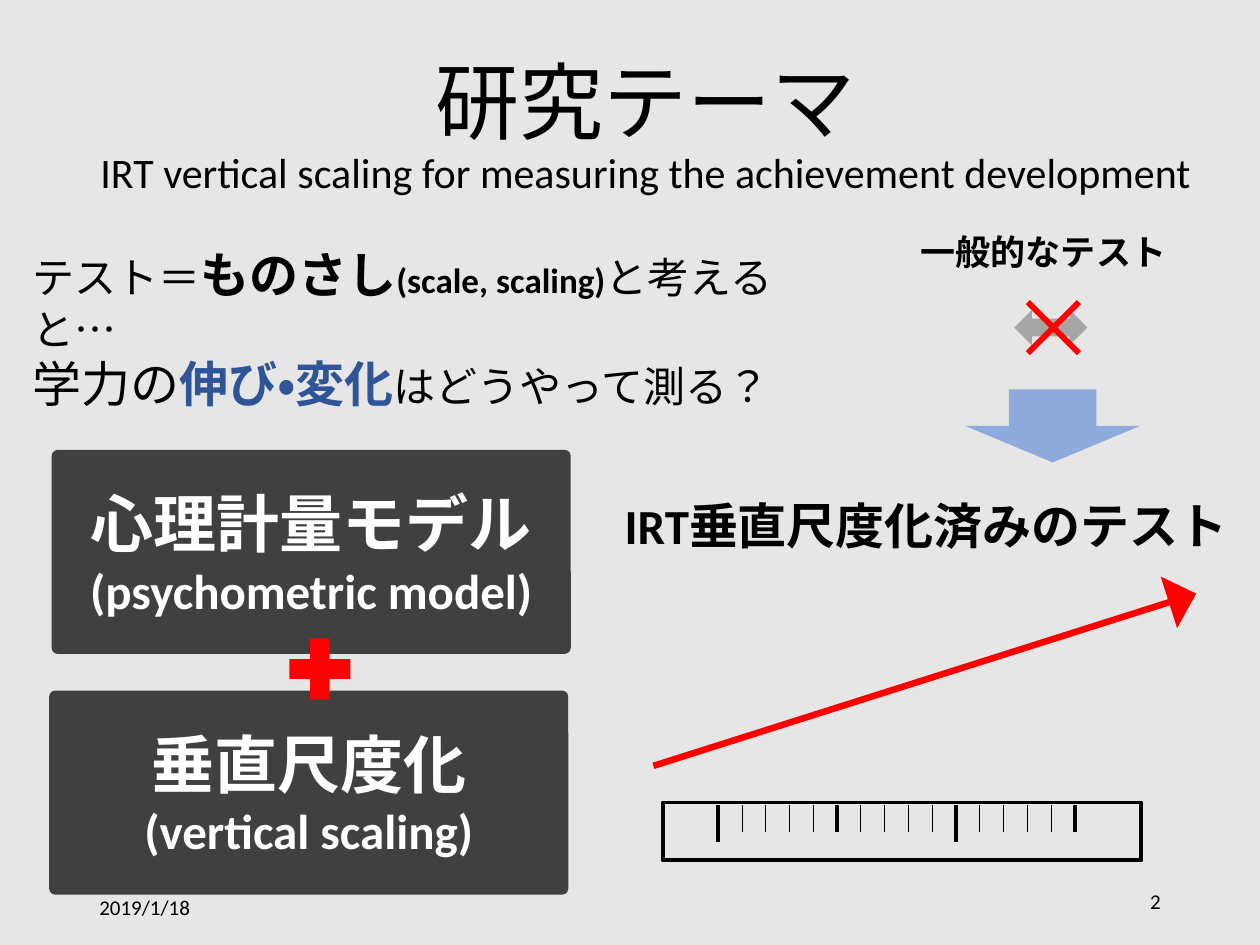
from lxml import etree
from pptx import Presentation
from pptx.dml.color import RGBColor
from pptx.enum.lang import MSO_LANGUAGE_ID
from pptx.enum.shapes import MSO_CONNECTOR, MSO_SHAPE
from pptx.enum.text import MSO_ANCHOR, PP_ALIGN
from pptx.oxml.ns import qn
from pptx.util import Inches, Pt

WIDE, HIGH = Inches(10), Inches(7.5)
BLACK = RGBColor(0, 0, 0)
WHITE = RGBColor(255, 255, 255)
RED = RGBColor(255, 0, 0)
PALE = RGBColor(0xE7, 0xE6, 0xE6)
GRAY = RGBColor(0xA5, 0xA5, 0xA5)
DARK = RGBColor(0x40, 0x40, 0x40)
BLUE = RGBColor(0x2F, 0x55, 0x97)
SKY = RGBColor(0x8F, 0xAA, 0xDC)
TOP, MID = MSO_ANCHOR.TOP, MSO_ANCHOR.MIDDLE
LEFT, CENTER, RIGHT = PP_ALIGN.LEFT, PP_ALIGN.CENTER, PP_ALIGN.RIGHT
RECT, ROUND = MSO_SHAPE.RECTANGLE, MSO_SHAPE.ROUNDED_RECTANGLE
BOTH, DOWN = MSO_SHAPE.LEFT_RIGHT_ARROW, MSO_SHAPE.DOWN_ARROW
ARROW = MSO_SHAPE.RIGHT_ARROW
CROSS, PLUS = MSO_SHAPE.MATH_MULTIPLY, MSO_SHAPE.MATH_PLUS
STRAIGHT = MSO_CONNECTOR.STRAIGHT
BASE = {"name": "Calibri", "language_id": MSO_LANGUAGE_ID.JAPANESE}
BREAK = "\n"


def place(x, y):
    return int(WIDE * x / 100), int(HIGH * y / 100)


def frame(box):
    return place(*box[:2]) + place(*box[2:])


def style(item, form):
    for key, value in form.items():
        setattr(item, key, value)


def write(shape, paras, anchor=TOP, align=LEFT, space=None, color=BLACK):
    text = shape.text_frame
    style(text, {"word_wrap": True, "vertical_anchor": anchor})
    for i, runs in enumerate(paras):
        para = text.add_paragraph() if i else text.paragraphs[0]
        style(para, {"alignment": align, "line_spacing": space})
        for words, size, bold, *tint in runs:
            if words == BREAK:
                para.add_line_break()
                continue
            run = para.add_run()
            run.text = words
            style(run.font, BASE | {"size": Pt(size), "bold": bold})
            run.font.color.rgb = tint[0] if tint else color


def label(slide, box, paras, **form):
    write(slide.shapes.add_textbox(*frame(box)), paras, **form)


def draw(slide, kind, box, fill=None, ratios=(), turn=0):
    shape = slide.shapes.add_shape(kind, *frame(box))
    style(shape, {"rotation": turn})
    shape.shadow.inherit = False
    for i, ratio in enumerate(ratios):
        shape.adjustments[i] = ratio
    if fill is None:
        shape.fill.background()
        shape.line.color.rgb = BLACK
        shape.line.width = Pt(2.25)
    else:
        shape.fill.solid()
        shape.fill.fore_color.rgb = fill
        shape.line.fill.background()
    return shape


def card(slide, x, y, paras):
    shape = draw(slide, ROUND, (x, y, 41.2, 21.6), DARK, [0.03])
    write(shape, paras, anchor=MID, align=CENTER, color=WHITE)


def tick(slide, x, y, size, width):
    line = slide.shapes.add_connector(
        STRAIGHT, *place(x, y), *place(x, y + size))
    line.line.color.rgb = BLACK
    line.line.width = Pt(width)
    props = line._element.find(qn("p:spPr"))
    etree.SubElement(props, qn("a:effectLst"))


def ruler(slide):
    draw(slide, RECT, (52.6, 84.93, 38, 6.13))
    first, last, gaps = 57, 85.3, 15
    for i in range(gaps + 1):
        x = first + (last - first) * i / gaps
        tick(slide, x, 85.2, 2.8 if i % 10 else 3.87, 0.5 if i % 5 else 2.25)


def main():
    deck = Presentation()
    style(deck, {"slide_width": WIDE, "slide_height": HIGH})
    slide = deck.slides.add_slide(deck.slide_layouts[6])
    slide.background.fill.solid()
    slide.background.fill.fore_color.rgb = PALE

    label(slide, (5.7, 4, 91.1, 19.33), [[
        ("研究テーマ", 48, False), (BREAK, 48, False),
        ("IRT vertical scaling for measuring the achievement development",
         24, False)]], anchor=MID, align=CENTER, space=0.9)

    label(slide, (72.1, 23.73, 22.4, 5.87), [[("一般的なテスト", 20, True)]])
    draw(slide, BOTH, (80.5, 32.8, 5.8, 3.73), GRAY)
    draw(slide, CROSS, (79.7, 29.47, 7.8, 10.4), RED, [0.06])

    label(slide, (48.6, 51.73, 51, 7.6),
          [[("IRT垂直尺度化済みのテスト", 28, True)]])
    draw(slide, ARROW, (50.8, 69.07, 45.2, 5.73), RED, [0.12, 0.53], 342.4)
    ruler(slide)

    card(slide, 4.1, 47.6, [[("心理計量モデル", 36, True),
                             ("(psychometric model)", 28, True)]])
    label(slide, (1.6, 25.2, 66.8, 13.87), [
        [("テスト＝", 24, False), ("ものさし", 28, True),
         ("(scale, scaling)", 20, True), ("と考えると…", 24, False)],
        [("学力の", 28, False), ("伸び・変化", 28, True, BLUE),
         ("はどうやって測る？", 24, False)]])
    card(slide, 3.9, 73.07, [[("垂直尺度化", 36, True)],
                             [("(vertical scaling)", 28, True)]])
    draw(slide, DOWN, (76.6, 41.2, 13.9, 7.73), SKY)

    label(slide, (6.9, 93.33, 22.5, 5.33), [[("2019/1/18", 12, False)]],
          anchor=MID)
    label(slide, (70.6, 92.67, 22.5, 5.33), [[("2", 12, False)]],
          anchor=MID, align=RIGHT)
    draw(slide, PLUS, (22.1, 66.4, 6.6, 8.8), RED)
    deck.save("out.pptx")


if __name__ == "__main__":
    main()
